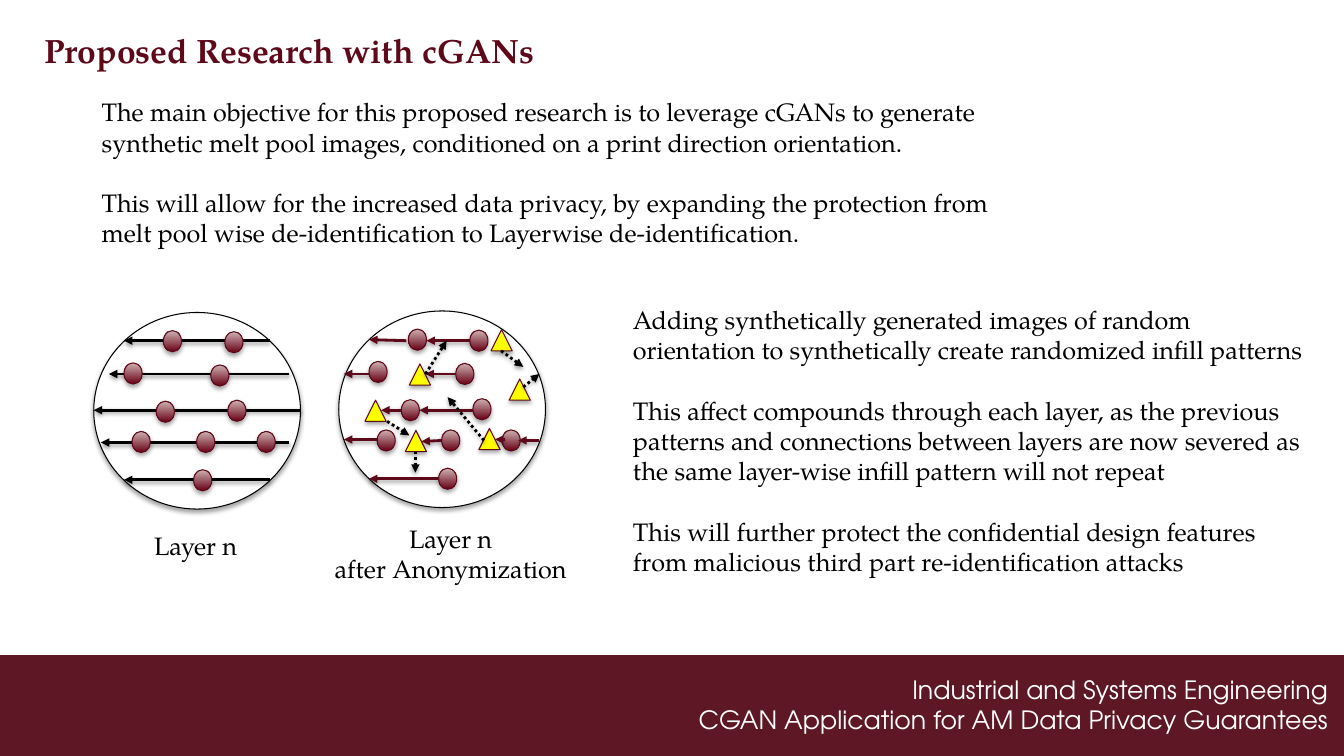
import pptx
import pptx.dml.color
import pptx.enum.dml
import pptx.enum.shapes
import pptx.enum.text
import pptx.oxml
import pptx.oxml.ns
import pptx.util

RGB = pptx.dml.color.RGBColor.from_string
SHAPE = pptx.enum.shapes.MSO_SHAPE
ALIGN = pptx.enum.text.PP_ALIGN
Pt = pptx.util.Pt

THEME = {
    "maroon": RGB("5E091A"),
    "band": RGB("5D1725"),
    "rim": RGB("5E0718"),
    "dot": (RGB("670015"), RGB("CFB3B4")),
    "yellow": RGB("FFFF00"),
    "black": RGB("000000"),
    "white": RGB("FFFFFF"),
    "title": {"name": "TeX Gyre Pagella", "size": Pt(24), "bold": True},
    "body": {"name": "TeX Gyre Pagella", "size": Pt(18)},
    "footer": {"name": "TeX Gyre Adventor", "size": Pt(18)},
    "thin": Pt(0.75),
    "thick": Pt(2),
    "blank_line": Pt(21.6),
}

deck = pptx.Presentation()
deck.slide_width = pptx.util.Inches(13.33)
deck.slide_height = pptx.util.Inches(7.5)
slide = deck.slides.add_slide(deck.slide_layouts[6])
shapes = slide.shapes

# The slide is a grid of 1333 columns by 750 rows
CELL = deck.slide_width // 1333


def add_text(box, lines, style, color, align=ALIGN.LEFT, gap=Pt(0)):
    frame = shapes.add_textbox(*(n * CELL for n in box)).text_frame
    frame.word_wrap = True
    frame.auto_size = pptx.enum.text.MSO_AUTO_SIZE.SHAPE_TO_FIT_TEXT
    frame.text = "\n".join(lines)
    for index, paragraph in enumerate(frame.paragraphs):
        paragraph.alignment = align
        if index:
            paragraph.space_before = gap
        font = paragraph.runs[0].font
        for attribute, value in THEME[style].items():
            setattr(font, attribute, value)
        font.color.rgb = THEME[color]


def cast_shadow(item, distance, opacity):
    item._element.spPr.append(pptx.oxml.parse_xml(
        f'<a:effectLst {pptx.oxml.ns.nsdecls("a")}>'
        f'<a:outerShdw blurRad="{Pt(3.1)}" dist="{Pt(distance)}" dir="5400000" rotWithShape="0">'
        f'<a:srgbClr val="{THEME["black"]}"><a:alpha val="{opacity}000"/></a:srgbClr>'
        '</a:outerShdw></a:effectLst>'))


# Footer band
band = shapes.add_shape(SHAPE.RECTANGLE, 0, 650 * CELL, deck.slide_width, 100 * CELL)
band.fill.solid()
band.fill.fore_color.rgb = THEME["band"]
band.line.fill.background()
band.shadow.inherit = False
add_text((374, 664, 953, 71),
         ["Industrial and Systems Engineering",
          "CGAN Application for AM Data Privacy Guarantees"],
         "footer", "white", ALIGN.RIGHT)

# Title and text
add_text((34, 25, 767, 50), ["Proposed Research with cGANs"], "title", "maroon")
add_text((91, 91, 954, 162), [
    "The main objective for this proposed research is to leverage cGANs to generate "
    "synthetic melt pool images, conditioned on a print direction orientation.",
    "This will allow for the increased data privacy, by expanding the protection from "
    "melt pool wise de-identification to Layerwise de-identification.",
], "body", "black", gap=THEME["blank_line"])
add_text((618, 297, 696, 283), [
    "Adding synthetically generated images of random orientation to synthetically "
    "create randomized infill patterns",
    "This affect compounds through each layer, as the previous patterns and connections "
    "between layers are now severed as the same layer-wise infill pattern will not repeat",
    "This will further protect the confidential design features from malicious third "
    "part re-identification attacks",
], "body", "black", gap=THEME["blank_line"])
add_text((143, 521, 135, 40), ["Layer n"], "body", "black")
add_text((312, 514, 270, 71), ["Layer n", "after Anonymization"],
         "body", "black", ALIGN.CENTER)

# Both layers share one set of melt pools, the second shifted sideways
layer_origins = [(93, 310), (336, 308.5)]
melt_pools = [(99, 156), (38, 118), (162, 118), (133, 87), (62, 88),
              (116, 52), (30, 50), (69, 18), (130, 19), (102, 118)]
synthetic_pools = [(406, 361), (475, 425), (487, 327), (362, 397), (402, 427), (505, 376)]
marks = [
    [(SHAPE.OVAL, (x, y, 205, 195), "white", "black") for x, y in layer_origins],
    [(SHAPE.OVAL, (x + dx, y + dy, 18, 21), "dot", "rim")
     for x, y in layer_origins for dx, dy in melt_pools]
    + [(SHAPE.ISOSCELES_TRIANGLE, (x, y, 21, 21), "yellow", "rim")
       for x, y in synthetic_pools],
]

# Arrows: start column, start row, end column, end row
print_tracks = [(298, 407, 93, 407), (268, 338, 123, 338), (268, 476, 123, 476),
                (287, 371, 108, 371), (287, 439, 100, 439)]
cut_tracks = [(435, 475, 366, 475), (535, 437, 514, 437), (501, 436, 491, 436),
              (438, 437, 418, 438), (375, 436, 341, 436), (469, 407, 416, 407),
              (398, 407, 378, 407), (452, 371, 422, 371), (366, 371, 341, 371),
              (466, 338, 423, 338), (403, 338, 366, 337)]
random_moves = [(412, 448, 412, 469), (480, 437, 444, 394), (384, 418, 406, 432),
                (519, 384, 535, 371), (422, 371, 443, 338), (497, 348, 519, 364)]
arrows = [
    [(track, "black", False) for track in print_tracks],
    [(track, "maroon", False) for track in cut_tracks]
    + [(move, "black", True) for move in random_moves],
]

# Discs, print tracks, pools, then the anonymized tracks on top
for mark_group, arrow_group in zip(marks, arrows):
    for outline, box, fill, rim in mark_group:
        mark = shapes.add_shape(outline, *(int(n * CELL) for n in box))
        if fill == "dot":
            mark.fill.gradient()
            mark.fill.gradient_angle = 90
            for stop, color in zip(mark.fill.gradient_stops, THEME["dot"]):
                stop.color.rgb = color
        else:
            mark.fill.solid()
            mark.fill.fore_color.rgb = THEME[fill]
        mark.line.color.rgb = THEME[rim]
        mark.line.width = THEME["thin"]
        cast_shadow(mark, 1.8, 35)

    for ends, color, dotted in arrow_group:
        arrow = shapes.add_connector(pptx.enum.shapes.MSO_CONNECTOR.STRAIGHT,
                                     *(n * CELL for n in ends))
        arrow.line.color.rgb = THEME[color]
        arrow.line.width = THEME["thick"]
        if dotted:
            arrow.line.dash_style = pptx.enum.dml.MSO_LINE.ROUND_DOT
        arrow.line._get_or_add_ln().append(pptx.oxml.parse_xml(
            f'<a:tailEnd {pptx.oxml.ns.nsdecls("a")} type="triangle"/>'))
        cast_shadow(arrow, 1.6, 38)

deck.save("out.pptx")
